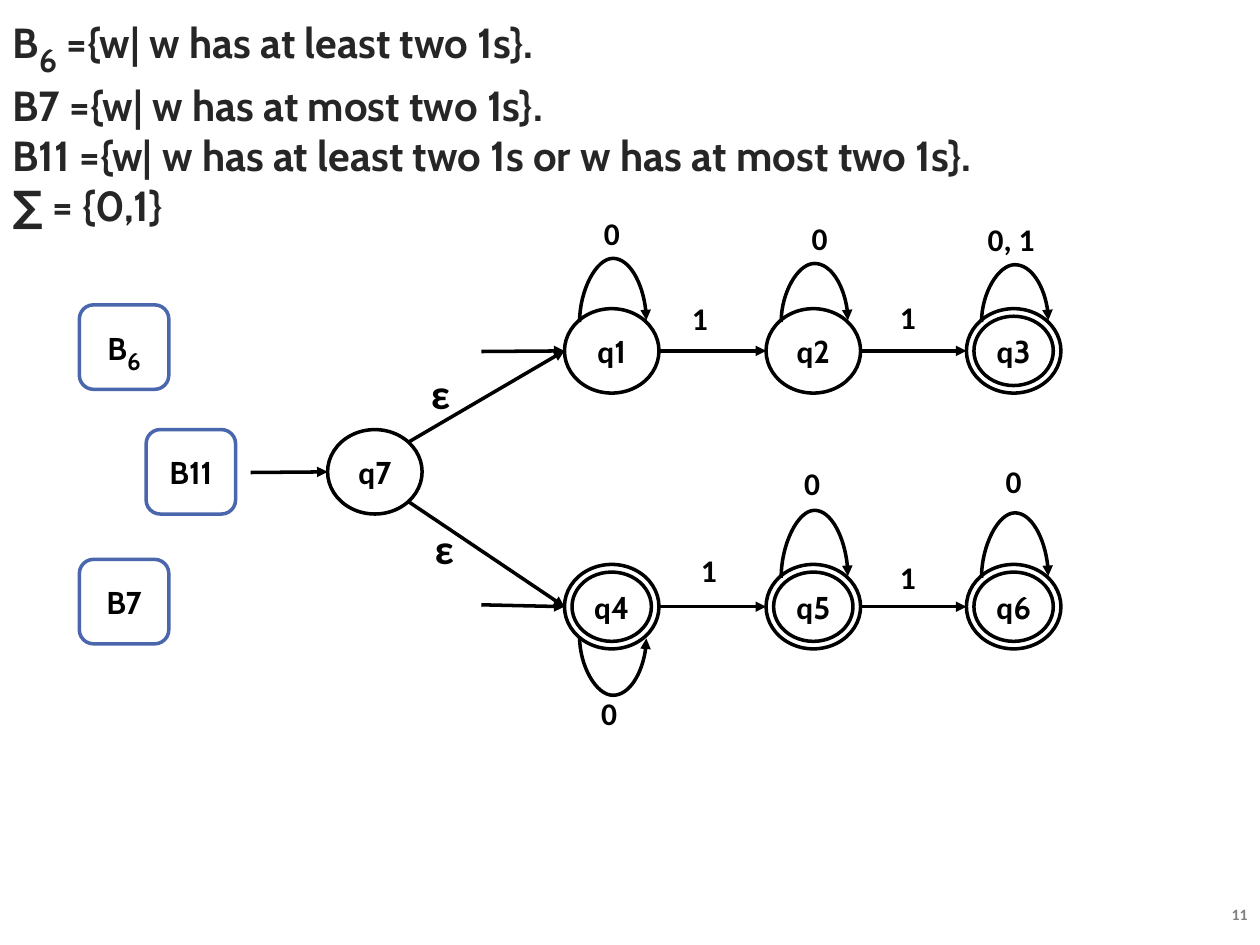
from pptx import Presentation
from pptx.dml.color import RGBColor
from pptx.enum.shapes import MSO_CONNECTOR, MSO_SHAPE
from pptx.enum.text import MSO_ANCHOR, MSO_AUTO_SIZE, PP_ALIGN
from pptx.oxml.ns import qn
from pptx.util import Inches, Pt
from lxml.etree import SubElement

BLACK = RGBColor(0, 0, 0)
WHITE = RGBColor(255, 255, 255)
INK = RGBColor(0x26, 0x26, 0x26)
BLUE = RGBColor(0x4A, 0x66, 0xAC)
GRAY = RGBColor(0x80, 0x80, 0x80)

# Content: runs are (text, format values)
SUBSCRIPT = {"baseline": -25000}
DEFINITIONS = [
    [("B", {}), ("6", {"size": Pt(32), **SUBSCRIPT}), (" ={w| w has at least two 1s}.", {})],
    [("B7 ={w| w has at most two 1s}.", {})],
    [("B11 ={w| w has at least two 1s or w has at most two 1s}.", {})],
    [("∑ = {0,1}", {})],
]
MACHINES = [  # name runs, left, top
    ([("B", {}), ("6", {"size": Pt(24), **SUBSCRIPT})], 0.63, 2.42),
    ([("B7", {})], 0.63, 4.44),
    ([("B11", {})], 1.16, 3.41),
]
STATE_W, STATE_H, RING_GAP = 0.75, 0.67, 0.06
COLUMNS = [4.48, 6.08, 7.67]
TOP_ROW, BOTTOM_ROW = 2.45, 4.48
STATES = {  # number: (left, top, accepting)
    **{1 + i: (x, TOP_ROW, i == 2) for i, x in enumerate(COLUMNS)},
    **{4 + i: (x, BOTTOM_ROW, True) for i, x in enumerate(COLUMNS)},
    7: (2.6, 3.41, False),
}
STEPS = [(1, 2), (2, 3), (4, 5), (5, 6)]
ENTRIES = [  # start point, state entered
    ((3.82, 2.79), 1), ((3.82, 4.8), 4), ((1.99, 3.75), 7),
    ((3.24, 3.51), 1), ((3.24, 3.98), 4),
]
LOOPS = [  # state, height of the arc, below the state
    (1, 0.5, False), (2, 0.46, False), (3, 0.45, False),
    (4, 0.46, True), (5, 0.53, False), (6, 0.51, False),
]
LABELS = [  # symbol, left, top, size
    ("0", 4.53, 1.62, 18), ("1", 5.23, 2.3, 18), ("0", 6.18, 1.66, 18),
    ("1", 6.88, 2.29, 18), ("0, 1", 7.7, 1.67, 18), ("0", 4.51, 5.43, 18),
    ("1", 5.3, 4.3, 18), ("0", 6.12, 3.61, 18), ("1", 6.88, 4.35, 18),
    ("0", 7.72, 3.59, 18), ("ε", 3.17, 2.89, 24), ("ε", 3.2, 4.12, 24),
]


def write(paragraph, runs, align=PP_ALIGN.CENTER, **base):
    paragraph.alignment = align
    defaults = {"name": "Cabin", "size": Pt(18), "bold": True, "color": BLACK}
    for text, changes in runs:
        run = paragraph.add_run()
        run.text = text
        for key, value in {**defaults, **base, **changes}.items():
            if key == "color":
                run.font.color.rgb = value
            elif key == "baseline":
                run.font._element.set(key, str(value))
            else:
                setattr(run.font, key, value)


def add_outline(kind, left, top, width, height, line, fill=None, runs=()):
    shape = slide.shapes.add_shape(kind, *map(Inches, (left, top, width, height)))
    shape.shadow.inherit = False
    shape.line.color.rgb = line
    shape.line.width = Pt(2)
    if fill is None:
        shape.fill.background()
    else:
        shape.fill.solid()
        shape.fill.fore_color.rgb = fill
    shape.text_frame.vertical_anchor = MSO_ANCHOR.MIDDLE
    write(shape.text_frame.paragraphs[0], runs)


def add_text(text, left, top, width, height, anchor, **style):
    box = slide.shapes.add_textbox(*map(Inches, (left, top, width, height)))
    box.text_frame.word_wrap = True
    box.text_frame.vertical_anchor = anchor
    write(box.text_frame.paragraphs[0], [(text, {})], name="Calibri", **style)


def add_arrow(start, end, kind=MSO_CONNECTOR.STRAIGHT):
    arrow = slide.shapes.add_connector(kind, *map(Inches, (*start, *end)))
    arrow.line.color.rgb = BLACK
    arrow.line.width = Pt(2)
    SubElement(arrow.line._get_or_add_ln(), qn("a:tailEnd"), type="triangle")
    SubElement(arrow._element.spPr, qn("a:effectLst"))
    return arrow


def add_loop(state, arc, below):
    # A thin upright curve, turned a quarter so that it arches over the state
    thin, span = 0.014, 0.53
    left, top, _ = STATES[state]
    right = left + STATE_W / 2 + thin / 2 + 0.01
    middle = top + (0.58 if below else 0.1)
    upper, lower = middle - span / 2, middle + span / 2
    first, last = (upper, lower) if below else (lower, upper)
    loop = add_arrow((right, first), (right - thin, last), MSO_CONNECTOR.CURVE)
    properties = loop._element.spPr
    properties.find(qn("a:xfrm")).set("rot", str((270 if below else 90) * 60000))
    geometry = properties.find(qn("a:prstGeom"))
    adjustments = geometry.find(qn("a:avLst"))
    if adjustments is None:
        adjustments = SubElement(geometry, qn("a:avLst"))
    SubElement(adjustments, qn("a:gd"), name="adj1", fmla=f"val {round(arc / thin * 100000)}")


prs = Presentation()
prs.slide_width, prs.slide_height = Inches(10), Inches(7.5)
slide = prs.slides.add_slide(prs.slide_layouts[1])
title = slide.shapes.title
title._element.getparent().remove(title._element)

# Language definitions
body = slide.placeholders[1]
body.left, body.top, body.width, body.height = map(Inches, (0, 0, 9.1, 1.85))
body.text_frame.vertical_anchor = MSO_ANCHOR.MIDDLE
body.text_frame.auto_size = MSO_AUTO_SIZE.NONE
for i, runs in enumerate(DEFINITIONS):
    paragraph = body.text_frame.add_paragraph() if i else body.text_frame.paragraphs[0]
    paragraph.space_before = Pt(0)
    write(paragraph, runs, PP_ALIGN.LEFT, size=Pt(24), color=INK)
    layout = paragraph._p.get_or_add_pPr()
    for key in ("marL", "indent"):
        layout.set(key, "0")
    SubElement(layout, qn("a:buNone"))

# Machine names
for runs, left, top in MACHINES:
    add_outline(MSO_SHAPE.ROUNDED_RECTANGLE, left, top, 0.71, 0.67, BLUE, WHITE, runs)

# States, with an inner ring on the accepting ones
for number, (left, top, accepting) in STATES.items():
    add_outline(MSO_SHAPE.OVAL, left, top, STATE_W, STATE_H, BLACK, WHITE,
                [("q", {"name": "Calibri"}), (str(number), {})])
    if accepting:
        add_outline(MSO_SHAPE.OVAL, left + RING_GAP, top + RING_GAP,
                    STATE_W - 2 * RING_GAP, STATE_H - 2 * RING_GAP, BLACK)

# Transitions
for source, target in STEPS:
    left, top, _ = STATES[source]
    y = top + STATE_H / 2
    add_arrow((left + STATE_W, y), (STATES[target][0], y))
for start, target in ENTRIES:
    left, top, _ = STATES[target]
    add_arrow(start, (left, top + STATE_H / 2))
for loop in LOOPS:
    add_loop(*loop)
for symbol, left, top, size in LABELS:
    add_text(symbol, left, top, 0.65, 0.45, MSO_ANCHOR.MIDDLE, size=Pt(size))

# Page number
add_text("11", 8.73, 7.13, 1.27, 0.25, MSO_ANCHOR.TOP,
         align=PP_ALIGN.RIGHT, size=Pt(9), color=GRAY)

prs.save("out.pptx")
